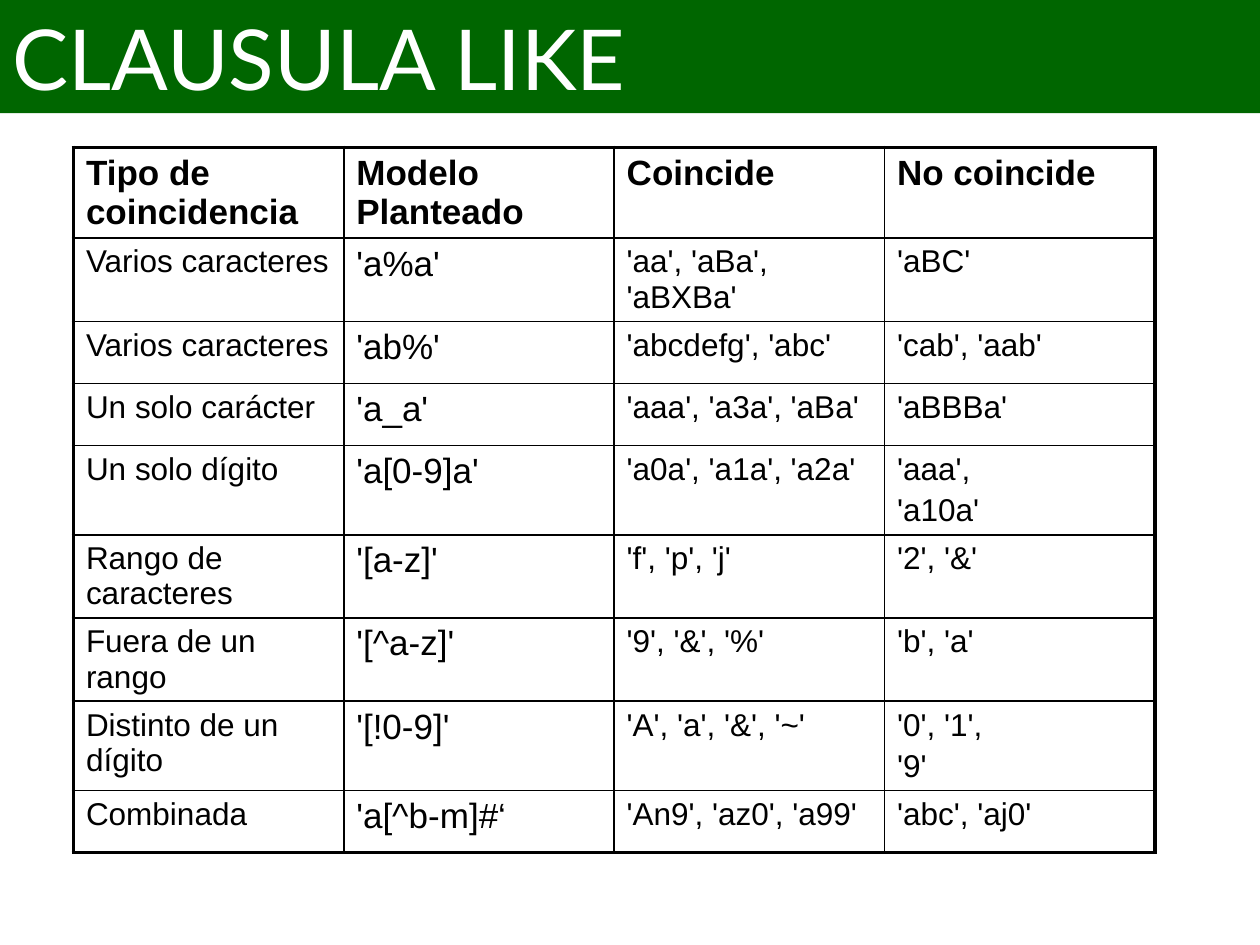
from dataclasses import dataclass

from lxml.etree import SubElement
from pptx import Presentation
from pptx.dml.color import RGBColor
from pptx.enum.shapes import MSO_SHAPE as Preset
from pptx.enum.text import MSO_ANCHOR as Anchor, PP_ALIGN as Align
from pptx.oxml.ns import qn
from pptx.util import Cm, Pt


@dataclass(frozen=True)
class Theme:
    banner: str = "006600"
    ink: str = "000000"
    paper: str = "FFFFFF"
    title_font: str = "Lato"
    body_font: str = "Arial"
    title_size: int = 48
    large_size: int = 20
    body_size: int = 18
    outer_line: float = 2.25
    inner_line: float = 1


theme = Theme()


def add_span(para, text, font, size, color, bold=False):
    span = para.add_run()
    span.text = text
    span.font.name = font
    span.font.size = Pt(size)
    span.font.bold = bold
    span.font.color.rgb = RGBColor.from_string(color)


def add_border(cell, side, width):
    line = SubElement(cell._tc.get_or_add_tcPr(), qn(f"a:ln{side}"), w=str(Pt(width)))
    fill = SubElement(line, qn("a:solidFill"))
    SubElement(fill, qn("a:srgbClr"), val=theme.ink)


deck = Presentation()
deck.slide_width = Cm(25.4)
deck.slide_height = Cm(19.05)
page = deck.slides.add_slide(deck.slide_layouts[6])

banner = page.shapes.add_shape(Preset.RECTANGLE, Cm(0), Cm(0), Cm(25.4), Cm(2.28))
banner.shadow.inherit = False
banner.fill.solid()
banner.fill.fore_color.rgb = RGBColor.from_string(theme.banner)
banner.line.fill.background()
banner.text_frame.word_wrap = True
banner.text_frame.vertical_anchor = Anchor.MIDDLE
para = banner.text_frame.paragraphs[0]
para.alignment = Align.LEFT
add_span(para, "CLAUSULA LIKE", theme.title_font, theme.title_size, theme.paper)

rows = [
    ["Tipo de coincidencia", "Modelo Planteado", "Coincide", "No coincide"],
    ["Varios caracteres", "'a%a'", "'aa', 'aBa', 'aBXBa'", "'aBC'"],
    ["Varios caracteres", "'ab%'", "'abcdefg', 'abc'", "'cab', 'aab'"],
    ["Un solo carácter", "'a_a'", "'aaa', 'a3a', 'aBa'", "'aBBBa'"],
    ["Un solo dígito", "'a[0-9]a'", "'a0a', 'a1a', 'a2a'", "'aaa',\n'a10a'"],
    ["Rango de caracteres", "'[a-z]'", "'f', 'p', 'j'", "'2', '&'"],
    ["Fuera de un rango", "'[^a-z]'", "'9', '&', '%'", "'b', 'a'"],
    ["Distinto de un dígito", "'[!0-9]'", "'A', 'a', '&', '~'", "'0', '1',\n'9'"],
    ["Combinada", "'a[^b-m]#‘", "'An9', 'az0', 'a99'", "'abc', 'aj0'"],
]
last_row, last_column = len(rows) - 1, len(rows[0]) - 1
header_height, row_height, column_width = Cm(1.45), Cm(1.25), Cm(5.45)

table = page.shapes.add_table(
    len(rows), len(rows[0]), Cm(1.48), Cm(2.97),
    column_width * len(rows[0]), header_height + row_height * last_row,
).table
for column in table.columns:
    column.width = column_width

for row, texts in enumerate(rows):
    is_header = row == 0
    table.rows[row].height = header_height if is_header else row_height
    for column, text in enumerate(texts):
        cell = table.cell(row, column)
        on_edge = {
            "L": column == 0,
            "R": column == last_column,
            "T": is_header,
            "B": row == last_row,
        }
        for side, outer in on_edge.items():
            add_border(cell, side, theme.outer_line if outer else theme.inner_line)
        cell.fill.background()

        size = theme.large_size if is_header or column == 1 else theme.body_size
        for index, line in enumerate(text.split("\n")):
            frame = cell.text_frame
            para = frame.add_paragraph() if index else frame.paragraphs[0]
            para.space_before = Pt(size * 0.2)
            add_span(para, line, theme.body_font, size, theme.ink, is_header)

deck.save("out.pptx")
